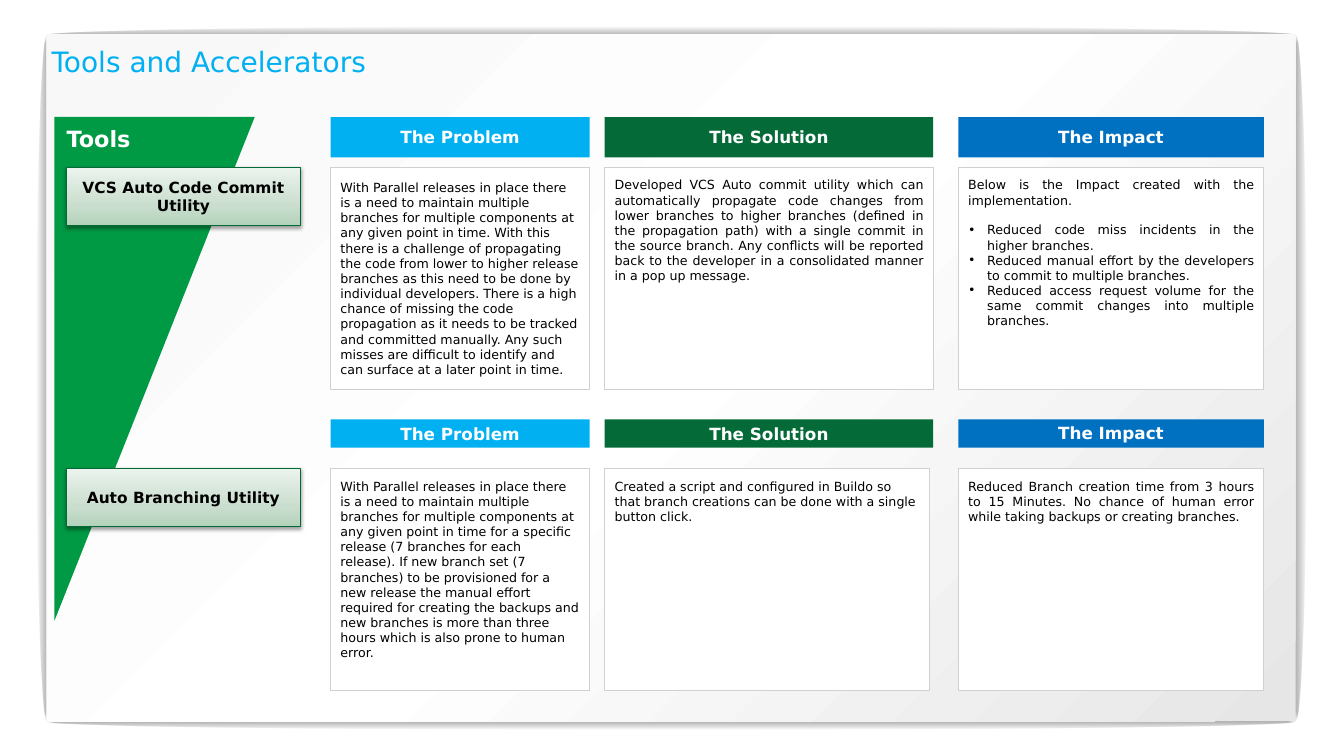
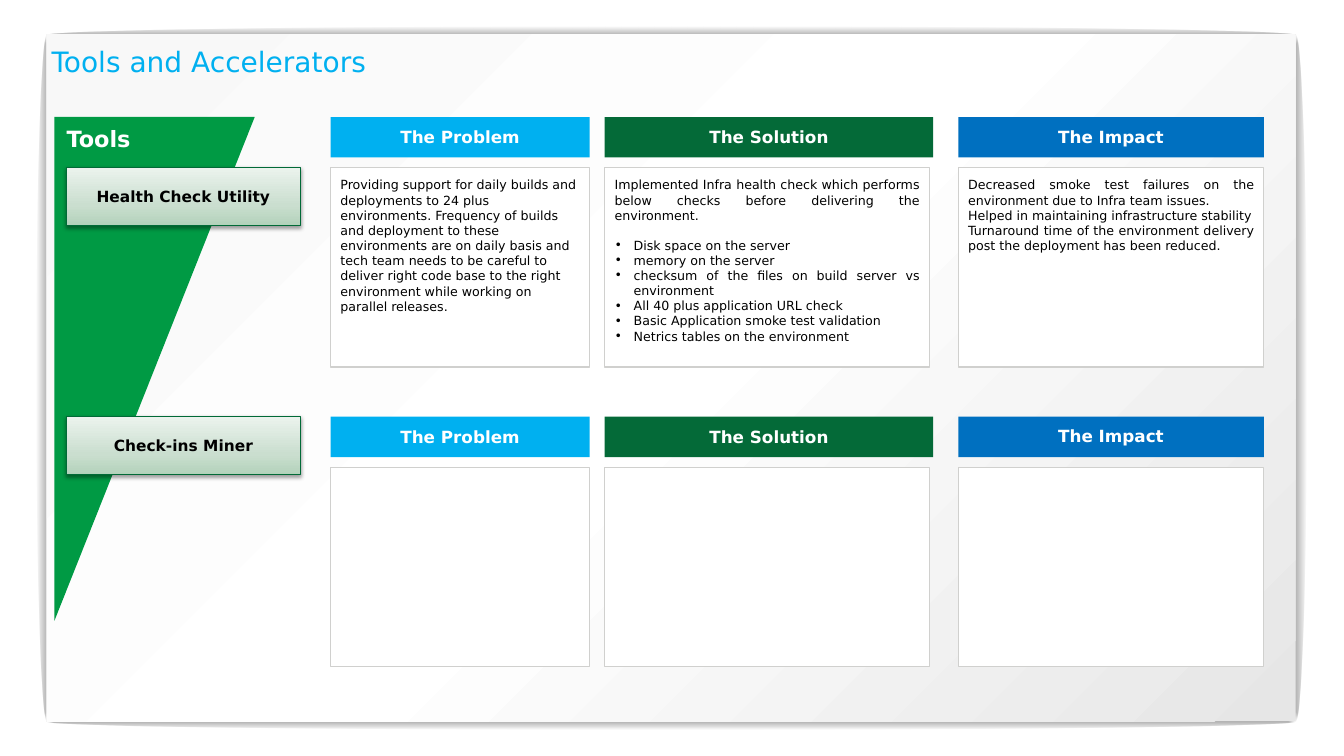
from dataclasses import dataclass

from lxml import etree
from pptx import Presentation
from pptx import util as u
from pptx.dml import color as dml
from pptx.enum import shapes, text
from pptx.oxml import ns

FONT = "DejaVu Sans"
SKY, FOREST, BLUE, GREEN = "00B0F0", "046A38", "0070C0", "009A44"
WHITE, BLACK, CARD_EDGE, BUTTON_EDGE = "FFFFFF", "000000", "D0D0CE", "016A37"
PANEL_STOPS = [(0, "E6E6E6", 100), (50, WHITE, 100), (100, "F8F8F8", 100)]
BUTTON_STOPS = [(0, "B2D2BA", 100), (35, "CADECF", 100), (100, "EBF3ED", 100)]
EDGE_STOPS = [(0, BLACK, 30), (100, BLACK, 0)]

# Boxes are (left, top, width, height) in centimetres
PANEL = (1.18, 0.88, 31.47, 17.3)
TITLE = (1.3, 1.12, 31.27, 0.94)
SIDEBAR = (1.37, 2.95, 5.05, 12.7)
ROW_LEFT, ROW_WIDTH = 1.68, 30.17
BUTTON_WIDTH, BUTTON_HEIGHT = 5.89, 1.47

# Heading, colour, offset in the row, width, line spacing
COLUMNS = [
    ("The Problem", SKY, 6.65, 6.53, 1),
    ("The Solution", FOREST, 13.56, 8.28, 1),
    ("The Impact", BLUE, 22.47, 7.7, 0.95),
]
LEFT, CENTER, JUSTIFY = (text.PP_ALIGN.LEFT, text.PP_ALIGN.CENTER,
                         text.PP_ALIGN.JUSTIFY)
TOP, MIDDLE = text.MSO_ANCHOR.TOP, text.MSO_ANCHOR.MIDDLE


@dataclass
class Card:
    paras: tuple = ()
    bullets: tuple = ()
    align: object = JUSTIFY
    anchor: object = TOP
    trim: float = 0


@dataclass
class Row:
    tool: str
    top: float
    cards: list
    head: float = 1.02
    gap: float = 0.25
    card: float = 5.59
    button_by_card: bool = True


def rgb(value):
    return dml.RGBColor.from_string(value)


def lengths(box):
    return [u.Cm(value) for value in box]


def add_node(parent, tag, **attributes):
    node = etree.SubElement(parent, ns.qn(tag))
    for name, value in attributes.items():
        node.set(name, str(value))
    return node


def add_color(parent, value, opacity):
    node = add_node(parent, "a:srgbClr", val=value)
    if opacity < 100:
        add_node(node, "a:alpha", val=opacity * 1000)


def set_gradient(shape, stops, angle=None):
    """Linear at the given angle, or spreading from the centre without one."""
    shape.fill.background()
    properties = shape.element.spPr
    empty = properties.find(ns.qn("a:noFill"))
    gradient = add_node(properties, "a:gradFill", rotWithShape=1)
    stop_list = add_node(gradient, "a:gsLst")
    for position, value, opacity in stops:
        stop = add_node(stop_list, "a:gs", pos=position * 1000)
        add_color(stop, value, opacity)
    if angle is None:
        center = add_node(gradient, "a:path", path="shape")
        add_node(center, "a:fillToRect", l=50000, t=50000, r=50000, b=50000)
    else:
        add_node(gradient, "a:lin", ang=angle * 60000, scaled=0)
    properties.replace(empty, gradient)


def add_block(page, box, fill=None, line=None, kind=shapes.MSO_SHAPE.RECTANGLE):
    shape = page.shapes.add_shape(kind, *lengths(box))
    shape.shadow.inherit = False
    if fill:
        shape.fill.solid()
        shape.fill.fore_color.rgb = rgb(fill)
    if line:
        shape.line.color.rgb = rgb(line)
        shape.line.width = u.Pt(0.75)
    else:
        shape.line.fill.background()
    return shape


def write(shape, paras, bullets=(), size=9, color=BLACK, bold=False, align=LEFT,
          anchor=TOP, inset=0.25, wrap=True, spacing=1):
    frame = shape.text_frame
    frame.word_wrap = wrap
    frame.auto_size = text.MSO_AUTO_SIZE.NONE
    frame.vertical_anchor = anchor
    frame.margin_left = frame.margin_right = u.Cm(inset)
    frame.margin_top = frame.margin_bottom = u.Cm(inset)
    for index, words in enumerate([*paras, *bullets]):
        para = frame.add_paragraph() if index else frame.paragraphs[0]
        para.alignment = align
        para.line_spacing = spacing
        if bullets and index == len(paras) - 1:
            para.space_after = u.Pt(10.5)
        if index >= len(paras):
            properties = para._p.get_or_add_pPr()
            properties.set("marL", str(u.Cm(0.48)))
            properties.set("indent", str(-u.Cm(0.48)))
            add_node(properties, "a:buFont", typeface=FONT)
            add_node(properties, "a:buChar", char="•")
        span = para.add_run()
        span.text = words
        span.font.name, span.font.size = FONT, u.Pt(size)
        span.font.bold, span.font.color.rgb = bold, rgb(color)


def add_panel(page, layout, box):
    """Draw the shaded panel and hand it to the layout behind every slide."""
    left, top, width, height = box
    flat, thin = 0.41, 0.53
    edges = [(left, y - flat / 2, width, flat) for y in (top + height, top)]
    edges += [(x - thin / 2, top, thin, height) for x in (left + width, left)]
    parts = []
    for edge in edges:
        parts.append(add_block(page, edge, kind=shapes.MSO_SHAPE.OVAL))
        set_gradient(parts[-1], EDGE_STOPS)
    parts.append(add_block(page, box))
    set_gradient(parts[-1], PANEL_STOPS, 225)
    for index, part in enumerate(parts):
        part.element.nvSpPr.cNvPr.set("id", str(20 + index))
        layout.shapes.element.insert(2 + index, part.element)


def add_sidebar(page, box):
    left, top, _, _ = box
    wedge = add_block(page, box, GREEN, kind=shapes.MSO_SHAPE.RIGHT_TRIANGLE)
    wedge.element.spPr.find(ns.qn("a:xfrm")).set("flipV", "1")
    label = page.shapes.add_textbox(*lengths((left + 0.31, top + 0.25, 3.81, 0.66)))
    write(label, ["Tools"], size=16, color=WHITE, bold=True, inset=0, spacing=0.95)


def add_button(page, box, words):
    button = add_block(page, box, line=BUTTON_EDGE)
    set_gradient(button, BUTTON_STOPS, 270)
    effects = button.element.spPr.find(ns.qn("a:effectLst"))
    shadow = add_node(effects, "a:outerShdw", blurRad=u.Pt(3.1), dist=u.Pt(1.6),
                      dir=5400000, rotWithShape=0)
    add_color(shadow, BLACK, 38)
    write(button, [words], size=11, bold=True, align=CENTER, anchor=MIDDLE)


def add_row(page, box, row):
    left, top, _, height = box
    card_top = top + row.head + row.gap
    button_top = card_top if row.button_by_card else top
    add_button(page, (left, button_top, BUTTON_WIDTH, BUTTON_HEIGHT), row.tool)
    for (heading, color, offset, width, spacing), card in zip(COLUMNS, row.cards):
        band = add_block(page, (left + offset, top, width, row.head), color)
        write(band, [heading], size=12, color=WHITE, bold=True, align=CENTER,
              anchor=MIDDLE, wrap=False, spacing=spacing)
        body = add_block(page, (left + offset, card_top, width - card.trim,
                                top + height - card_top), WHITE, CARD_EDGE)
        write(body, card.paras, card.bullets, align=card.align, anchor=card.anchor)


def add_tools_page(page, rows):
    write(page.shapes.title, ["Tools and Accelerators"], size=20, color=SKY, inset=0)
    add_sidebar(page, SIDEBAR)
    for row in rows:
        height = row.head + row.gap + row.card
        add_row(page, (ROW_LEFT, row.top, ROW_WIDTH, height), row)


PAGES = [
    [
        Row("VCS Auto Code Commit Utility", 2.95, [
            Card(("With Parallel releases in place there is a need to maintain multiple "
                  "branches for multiple components at any given point in time. With this "
                  "there is a challenge of propagating the code from lower to higher "
                  "release branches as this need to be done by individual developers. "
                  "There is a high chance of missing the code propagation as it needs to "
                  "be tracked and committed manually. Any such misses are difficult to "
                  "identify and can surface at a later point in time.",),
                 align=LEFT, anchor=MIDDLE),
            Card(("Developed VCS Auto commit utility which can automatically propagate "
                  "code changes from lower branches to higher branches (defined in the "
                  "propagation path) with a single commit in the source branch. Any "
                  "conflicts will be reported back to the developer in a consolidated "
                  "manner in a pop up message.",)),
            Card(("Below is the Impact created with the implementation.",),
                 ("Reduced code miss incidents in the higher branches.",
                  "Reduced manual effort by the developers to commit to multiple branches.",
                  "Reduced access request volume for the same commit changes into "
                  "multiple branches.")),
        ]),
        Row("Auto Branching Utility", 10.57, [
            Card(("With Parallel releases in place there is a need to maintain multiple "
                  "branches for multiple components at any given point in time for a "
                  "specific release (7 branches for each release). If new branch set (7 "
                  "branches) to be provisioned for a new release the manual effort "
                  "required for creating the backups and new branches is more than three "
                  "hours which is also prone to human error.",), align=LEFT),
            Card(("Created a script and configured in Buildo so that branch creations "
                  "can be done with a single button click.",), align=LEFT, trim=0.1),
            Card(("Reduced Branch creation time from 3 hours to 15 Minutes. No chance of "
                  "human error while taking backups or creating branches.",)),
        ], head=0.71, gap=0.53),
    ],
    [
        Row("Health Check Utility", 2.95, [
            Card(("Providing support for daily builds and deployments to 24 plus "
                  "environments. Frequency of builds and deployment to these environments "
                  "are on daily basis and tech team needs to be careful to deliver right "
                  "code base to the right environment while working on parallel "
                  "releases.",), align=LEFT),
            Card(("Implemented Infra health check which performs below checks before "
                  "delivering the environment.",),
                 ("Disk space on the server", "memory on the server",
                  "checksum of the files on build server vs environment",
                  "All 40 plus application URL check",
                  "Basic Application smoke test validation",
                  "Netrics tables on the environment"), trim=0.1),
            Card(("Decreased smoke test failures on the environment due to Infra team "
                  "issues.",
                  "Helped in maintaining infrastructure stability",
                  "Turnaround time of the environment delivery post the deployment has "
                  "been reduced.")),
        ], card=5.03),
        Row("Check-ins Miner", 10.5, [Card(), Card(trim=0.1), Card()],
            card=5.03, button_by_card=False),
    ],
]


def main():
    deck = Presentation()
    deck.slide_width, deck.slide_height = u.Cm(33.87), u.Cm(19.05)
    layout = deck.slide_layouts.get_by_name("Title Only")
    heading = layout.placeholders[0]
    heading.left, heading.top, heading.width, heading.height = lengths(TITLE)
    pages = [deck.slides.add_slide(layout) for _ in PAGES]
    add_panel(pages[0], layout, PANEL)
    for page, rows in zip(pages, PAGES):
        add_tools_page(page, rows)
    deck.save("out.pptx")


if __name__ == "__main__":
    main()
